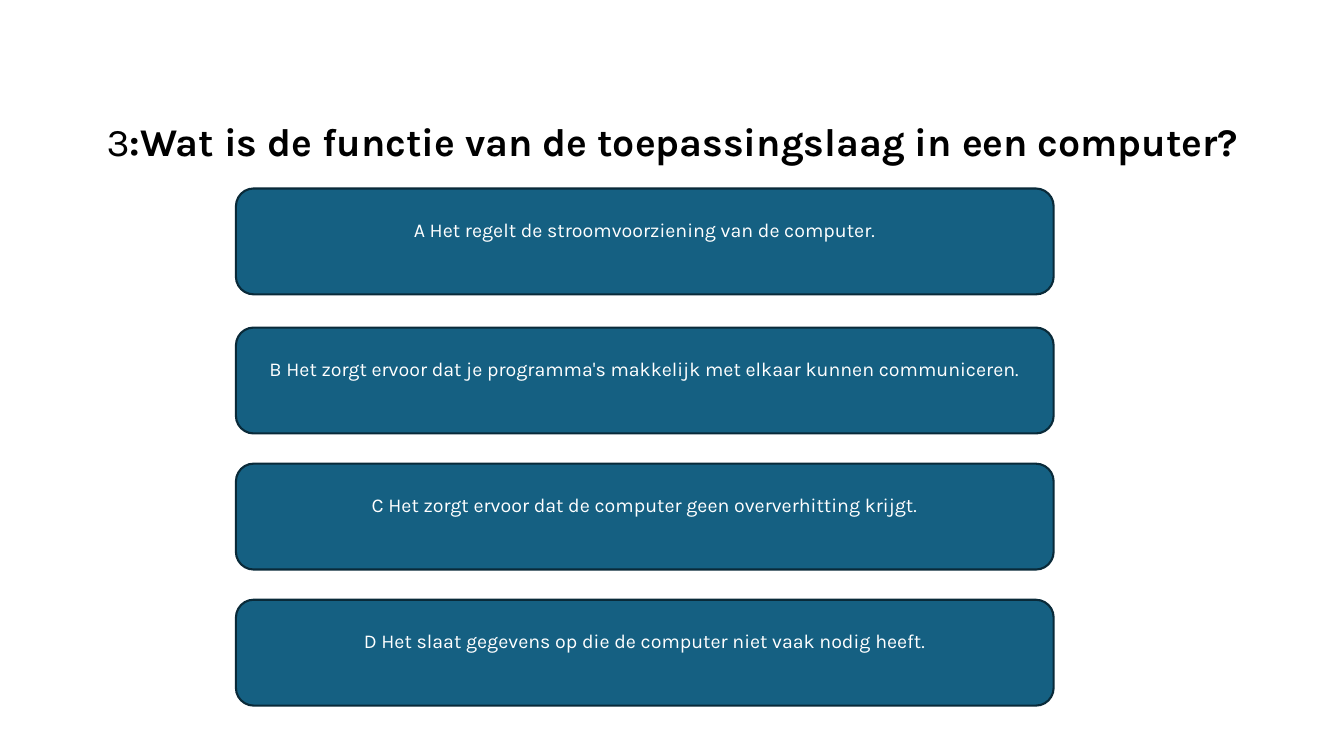
from pptx import Presentation
from pptx.dml.color import RGBColor
from pptx.enum.shapes import MSO_SHAPE
from pptx.enum.text import MSO_ANCHOR, PP_ALIGN
from pptx.util import Inches, Pt

QUESTION = [("3", False), (":Wat is de functie van de toepassingslaag in een computer?", True)]
ANSWERS = [
    (1.87, "A Het regelt de stroomvoorziening van de computer."),
    (3.25, "B Het zorgt ervoor dat je programma's makkelijk met elkaar kunnen communiceren."),
    (4.6, "C Het zorgt ervoor dat de computer geen oververhitting krijgt."),
    (5.95, "D Het slaat gegevens op die de computer niet vaak nodig heeft."),
]
COLORS = {"question": "000000", "answer": "FFFFFF", "fill": "156082", "border": "092A39"}
FONT = "Karla"
ANSWER_LEFT, ANSWER_WIDTH, ANSWER_HEIGHT = 2.34, 8.11, 1.05


def color(name):
    return RGBColor.from_string(COLORS[name])


def write(shape, spans, size, color_name, bottom, line_spacing=1.0):
    frame = shape.text_frame
    frame.word_wrap = True
    frame.vertical_anchor = MSO_ANCHOR.MIDDLE
    frame.margin_bottom = Inches(bottom)
    para = frame.paragraphs[0]
    para.alignment = PP_ALIGN.CENTER
    para.line_spacing = line_spacing
    for text, bold in spans:
        span = para.add_run()
        span.text = text
        span.font.name = FONT
        span.font.size = Pt(size)
        span.font.bold = bold
        span.font.color.rgb = color(color_name)


def add_answer(page, top, text):
    box = page.shapes.add_shape(
        MSO_SHAPE.ROUNDED_RECTANGLE,
        Inches(ANSWER_LEFT), Inches(top), Inches(ANSWER_WIDTH), Inches(ANSWER_HEIGHT),
    )
    box.shadow.inherit = False
    box.fill.solid()
    box.fill.fore_color.rgb = color("fill")
    box.line.color.rgb = color("border")
    box.line.width = Pt(1.5)
    write(box, [(text, False)], size=14, color_name="answer", bottom=0.28)


def main():
    deck = Presentation()
    deck.slide_width, deck.slide_height = Inches(13.33), Inches(7.5)
    page = deck.slides.add_slide(deck.slide_layouts[5])
    title = page.shapes.title
    title.left, title.top = Inches(0.92), Inches(1.02)
    title.width, title.height = Inches(11.5), Inches(1.45)
    write(title, QUESTION, size=28, color_name="question", bottom=0.69, line_spacing=0.9)
    for top, text in ANSWERS:
        add_answer(page, top, text)
    deck.save("out.pptx")


if __name__ == "__main__":
    main()
